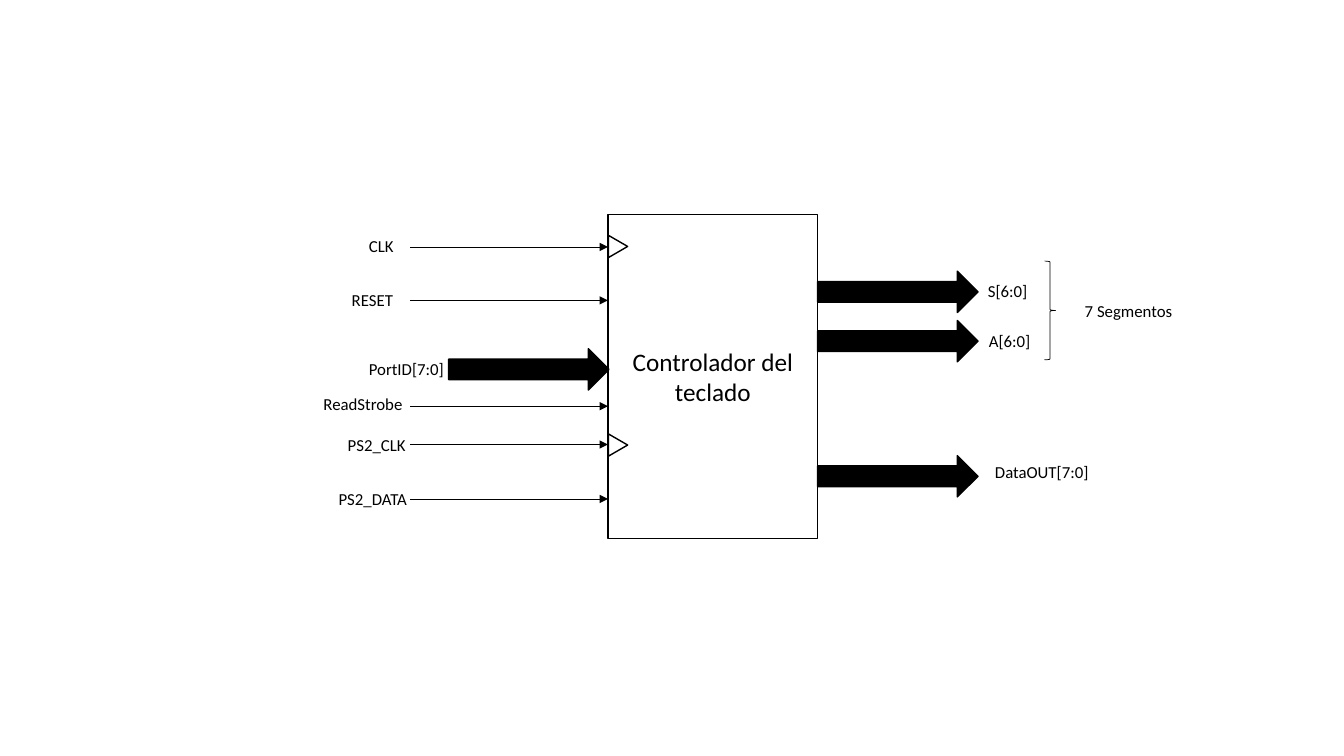
from pptx import Presentation
from pptx.dml.color import RGBColor
from pptx.enum.shapes import MSO_CONNECTOR as Connector, MSO_SHAPE as Shape
from pptx.enum.text import MSO_ANCHOR as Anchor, MSO_AUTO_SIZE as AutoSize, PP_ALIGN as Align
from pptx.oxml.ns import qn
from pptx.util import Inches, Pt
from lxml.etree import SubElement

BLACK = RGBColor(0, 0, 0)
WHITE = RGBColor(255, 255, 255)
CELL = Inches(0.01)
COLUMNS, ROWS = 1333, 750

deck = Presentation()
deck.slide_width, deck.slide_height = COLUMNS * CELL, ROWS * CELL
page = deck.slides.add_slide(deck.slide_layouts[6])

BLOCK_LEFT, BLOCK_TOP, BLOCK_WIDTH, BLOCK_HEIGHT = 603, 213, 208, 321
BLOCK_RIGHT = BLOCK_LEFT + BLOCK_WIDTH
WIRE_LEFT = 407
BUS_WIDTH, BUS_HEIGHT = 159, 41
CLOCK_WIDTH, CLOCK_HEIGHT = 22, 19
LABEL_HEIGHT = 30


def add_box(kind, column, row, width, height, fill, line_width=1):
    box = page.shapes.add_shape(kind, column * CELL, row * CELL, width * CELL, height * CELL)
    box.shadow.inherit = False
    if fill is None:
        box.fill.background()
    else:
        box.fill.solid()
        box.fill.fore_color.rgb = fill
    box.line.color.rgb = BLACK
    box.line.width = Pt(line_width)
    return box


def write(box, text, size):
    box.text_frame.text = text
    para = box.text_frame.paragraphs[0]
    span = para.runs[0]
    span.font.name = "Calibri"
    span.font.size = Pt(size)
    span.font.color.rgb = BLACK
    return para


block = add_box(Shape.RECTANGLE, BLOCK_LEFT, BLOCK_TOP, BLOCK_WIDTH, BLOCK_HEIGHT, WHITE)
block.text_frame.word_wrap = True
block.text_frame.vertical_anchor = Anchor.MIDDLE
write(block, "Controlador del teclado", 18).alignment = Align.CENTER

for middle in (244.5, 441.5):
    clock = add_box(Shape.ISOSCELES_TRIANGLE, BLOCK_LEFT - 1, middle - CLOCK_HEIGHT / 2,
                    CLOCK_WIDTH, CLOCK_HEIGHT, WHITE)
    clock.rotation = 90

for column, row in ((445, 346), (BLOCK_RIGHT, 269), (BLOCK_RIGHT, 318), (BLOCK_RIGHT, 452)):
    add_box(Shape.RIGHT_ARROW, column, row, BUS_WIDTH, BUS_HEIGHT, BLACK)

for row in (245, 298, 403, 441, 495):
    wire = page.shapes.add_connector(Connector.STRAIGHT, WIRE_LEFT * CELL, row * CELL,
                                     BLOCK_LEFT * CELL, row * CELL)
    wire.line.color.rgb = BLACK
    wire.line.width = Pt(0.5)
    SubElement(wire.line._get_or_add_ln(), qn("a:tailEnd"), type="triangle")
    SubElement(wire._element.spPr, qn("a:effectLst"))

add_box(Shape.RIGHT_BRACE, 1036, 259, 11, 98, None, 0.5)

labels = (
    ("CLK", 356, 229, 45),
    ("RESET", 339, 283, 62),
    ("PortID[7:0]", 356, 351, 95),
    ("ReadStrobe", 311, 386, 99),
    ("PS2_CLK", 335, 426, 78),
    ("PS2_DATA", 326, 480, 89),
    ("S[6:0]", 970, 274, 60),
    ("A[6:0]", 971, 323, 62),
    ("DataOUT[7:0]", 977, 453, 114),
    ("7 Segmentos", 1066, 293, 108),
)
for text, column, row, width in labels:
    label = page.shapes.add_textbox(column * CELL, row * CELL, width * CELL, LABEL_HEIGHT * CELL)
    label.text_frame.word_wrap = False
    label.text_frame.auto_size = AutoSize.SHAPE_TO_FIT_TEXT
    write(label, text, 12)

deck.save("out.pptx")
